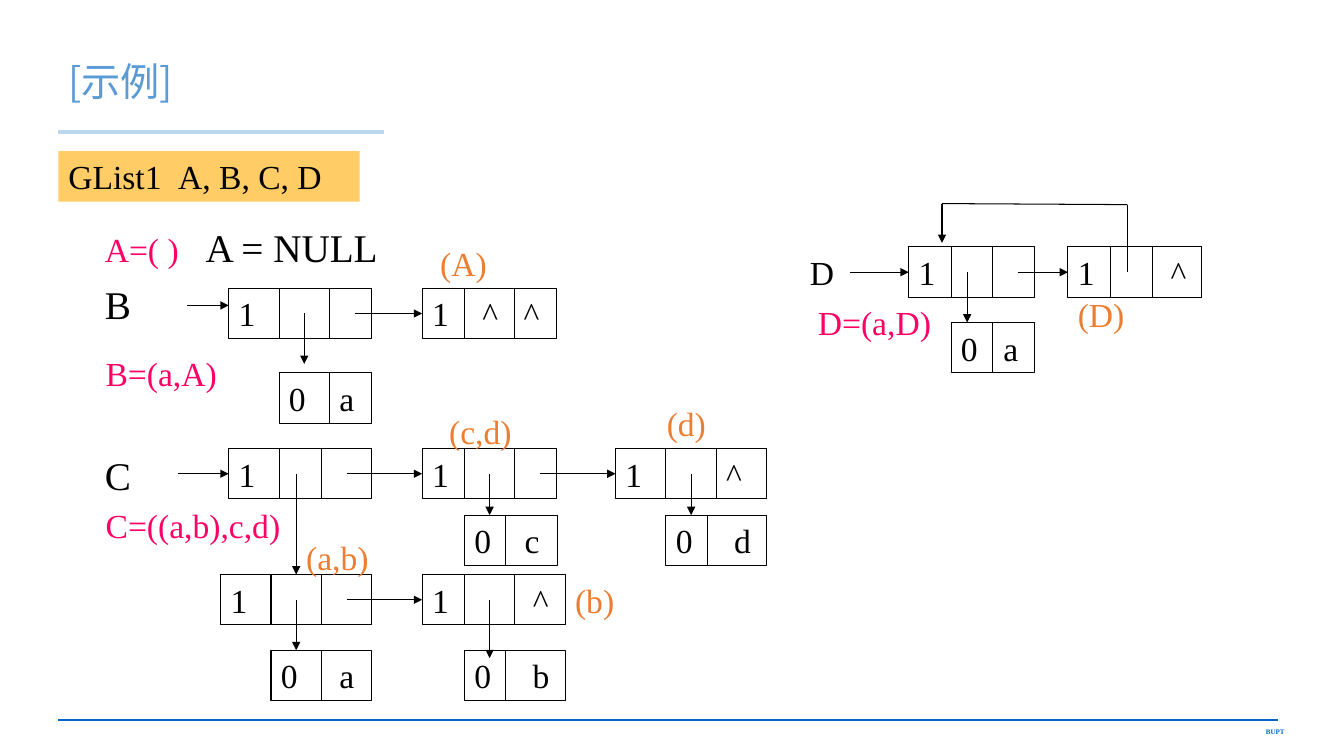
from lxml import etree
from pptx import Presentation, util as u
from pptx.dml.color import RGBColor
from pptx.enum import shapes, text
from pptx.oxml.ns import qn

BLACK, PINK, ORANGE = "000000", "FF0066", "ED7D31"
SERIF, SANS = "Times New Roman", "Noto Sans CJK SC"
SIDE = 50  # height of every list cell
ALIGN = text.PP_ALIGN


def px(n):
    """One px is a hundredth of an inch."""
    return u.Emu(n * 9144)


def color(code):
    return RGBColor.from_string(code)


class Board:
    def __init__(self, slide):
        self.slide = slide
        self.items = slide.shapes

    def style(self, font, size, ink, face=SERIF, bold=False):
        font.name, font.size, font.bold = face, u.Pt(size), bold
        font.color.rgb = color(ink)

    def tabs(self, par, stops):
        if stops:
            props = par._p.get_or_add_pPr()
            tabs = etree.SubElement(props, qn("a:tabLst"))
            for stop in stops:
                etree.SubElement(tabs, qn("a:tab"), pos=str(px(stop)), algn="l")

    def letter(self, box, words, ink=BLACK, size=24, stops=(), align=ALIGN.LEFT, bold=False):
        frame = box.text_frame
        frame.word_wrap = True
        frame.vertical_anchor = text.MSO_ANCHOR.TOP
        par = frame.paragraphs[0]
        par.text, par.alignment = words, align
        self.tabs(par, stops)
        self.style(par.font, size, ink, bold=bold)

    def label(self, x, y, wide, words, ink, high=SIDE, **look):
        box = self.items.add_textbox(px(x), px(y), px(wide), px(high))
        self.letter(box, words, ink, **look)

    def rect(self, x, y, wide, words, stops=(), fill=None):
        box = self.items.add_shape(
            shapes.MSO_SHAPE.RECTANGLE, px(x), px(y), px(wide), px(SIDE))
        box.shadow.inherit = False
        if fill:
            box.fill.solid()
            box.fill.fore_color.rgb = color(fill)
            box.line.fill.background()
        else:
            box.fill.background()
            box.line.color.rgb = color(BLACK)
            box.line.width = u.Pt(0.75)
        self.letter(box, words, stops=stops)

    def line(self, x1, y1, x2, y2, ink=BLACK, width=0.75, arrow=False):
        link = self.items.add_connector(
            shapes.MSO_CONNECTOR.STRAIGHT, px(x1), px(y1), px(x2), px(y2))
        link.line.color.rgb = color(ink)
        link.line.width = u.Pt(width)
        props = link._element.spPr
        if arrow:
            etree.SubElement(props.find(qn("a:ln")), qn("a:tailEnd"), type="triangle")
        etree.SubElement(props, qn("a:effectLst"))

    def node(self, x, y, wide, words, stops, cuts):
        self.rect(x, y, wide, words, stops)
        for cut in cuts:
            self.line(cut, y, cut, y + SIDE)

    def place(self, box, x, y, wide, high):
        box.left, box.top, box.width, box.height = map(px, (x, y, wide, high))
        box.text_frame.auto_size = text.MSO_AUTO_SIZE.NONE

    def title(self, words):
        box = self.items.title
        self.place(box, 58, 36, 1129, 94)
        box.text_frame.vertical_anchor = text.MSO_ANCHOR.MIDDLE
        par = box.text_frame.paragraphs[0]
        par.text, par.alignment, par.line_spacing = words, ALIGN.LEFT, 0.9
        self.style(par.font, 28, "5B9BD5", SANS)
        props = par._p.pPr.find(qn("a:defRPr"))
        etree.SubElement(props, qn("a:ea"), typeface=SANS)

    def body(self, rows):
        """Each row is its space before, its tab stops and its runs."""
        box = self.slide.placeholders[1]
        self.place(box, 94, 222, 1129, 476)
        frame = box.text_frame
        for i, (gap, stops, runs) in enumerate(rows):
            par = frame.add_paragraph() if i else frame.paragraphs[0]
            par.line_spacing, par.space_before = 0.9, u.Pt(gap)
            props = par._p.get_or_add_pPr()
            props.set("marL", "0")
            props.set("indent", "0")
            etree.SubElement(props, qn("a:buNone"))
            self.tabs(par, stops)
            for words, size, ink in runs:
                run = par.add_run()
                run.text = words
                self.style(run.font, size, ink)


def main():
    deck = Presentation()
    deck.slide_width, deck.slide_height = px(1334), px(750)
    board = Board(deck.slides.add_slide(deck.slide_layouts[1]))

    # Rules and footer
    board.line(58, 714, 1269, 714, "0066CC", 1.5)
    board.line(58, 131, 381, 131, "BDD7EE", 3.5)
    board.label(1150, 717, 135, "BUPT", "0066CC", 19, size=5, align=ALIGN.RIGHT, bold=True)

    # Title and list names
    board.title("[示例]")
    board.body([
        (0, [111], [("A=( )", 24, PINK), ("\tA = NULL", 28, BLACK)]),
        (10, [], [("B", 28, BLACK)]),
        (92, [], [("C", 28, BLACK)]),
    ])
    board.rect(58, 150, 299, "GList1\tA, B, C, D", [109], "FFCC66")

    # Nodes: left, top, width, text, tab stops, dividers
    for node in [
        # List B
        (227, 286, 142, "1", [], [277, 327]),
        (419, 286, 133, "1\t^\t^", [50, 91], [461, 511]),
        (277, 370, 92, "0\ta", [50], [327]),
        # List C
        (227, 445, 142, "1", [], [277, 319]),
        (419, 445, 133, "1", [], [461, 511]),
        (611, 445, 150, "1\t^", [100], [661, 711]),
        (461, 511, 92, "0\tc", [50], [502]),
        (661, 511, 100, "0\td", [58], [702]),
        (219, 570, 150, "1", [], [269, 319]),
        (419, 570, 142, "1\t^", [100], [461, 511]),
        (269, 645, 100, "0\ta", [58], [319]),
        (461, 645, 100, "0\tb", [58], [502]),
        # List D
        (902, 245, 125, "1", [], [944, 985]),
        (1060, 245, 133, "1\t^", [92], [1102, 1144]),
        (944, 320, 83, "0\ta", [42], [985]),
    ]:
        board.node(*node)

    # Arrows to the right: start, end, height
    for x1, x2, y in [
        (186, 227, 303), (352, 419, 311),
        (177, 227, 470), (344, 419, 470), (536, 611, 470), (344, 419, 595),
        (844, 902, 270), (1010, 1060, 270),
    ]:
        board.line(x1, y, x2, y, arrow=True)

    # Arrows down: place, start, end
    for x, y1, y2 in [
        (302, 311, 361), (294, 470, 570), (486, 470, 511), (686, 470, 511),
        (294, 595, 645), (486, 595, 653), (960, 270, 320), (935, 202, 241),
    ]:
        board.line(x, y1, x, y2, arrow=True)

    # Loop from D back to its head
    board.line(1119, 270, 1119, 203)
    board.line(1119, 203, 935, 202)

    # Labels
    for x, y, wide, words, ink in [
        (794, 245, 50, "D", BLACK),
        (95, 345, 150, "B=(a,A)", PINK),
        (95, 496, 208, "C=((a,b),c,d)", PINK),
        (802, 295, 133, "D=(a,D)", PINK),
        (427, 236, 92, "(A)", ORANGE),
        (1060, 287, 100, "(D)", ORANGE),
        (294, 528, 108, "(a,b)", ORANGE),
        (436, 403, 108, "(c,d)", ORANGE),
        (652, 395, 67, "(d)", ORANGE),
        (561, 570, 83, "(b)", ORANGE),
    ]:
        board.label(x, y, wide, words, ink)

    deck.save("out.pptx")


if __name__ == "__main__":
    main()
